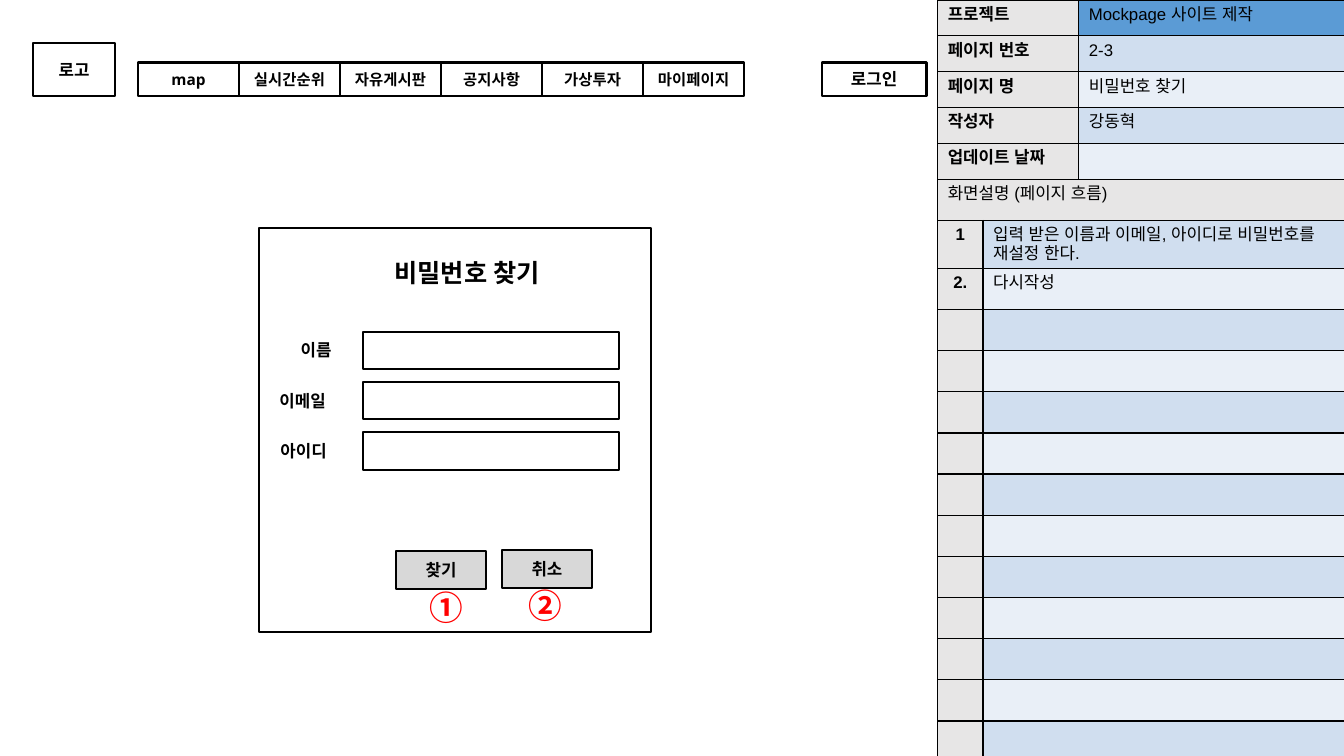
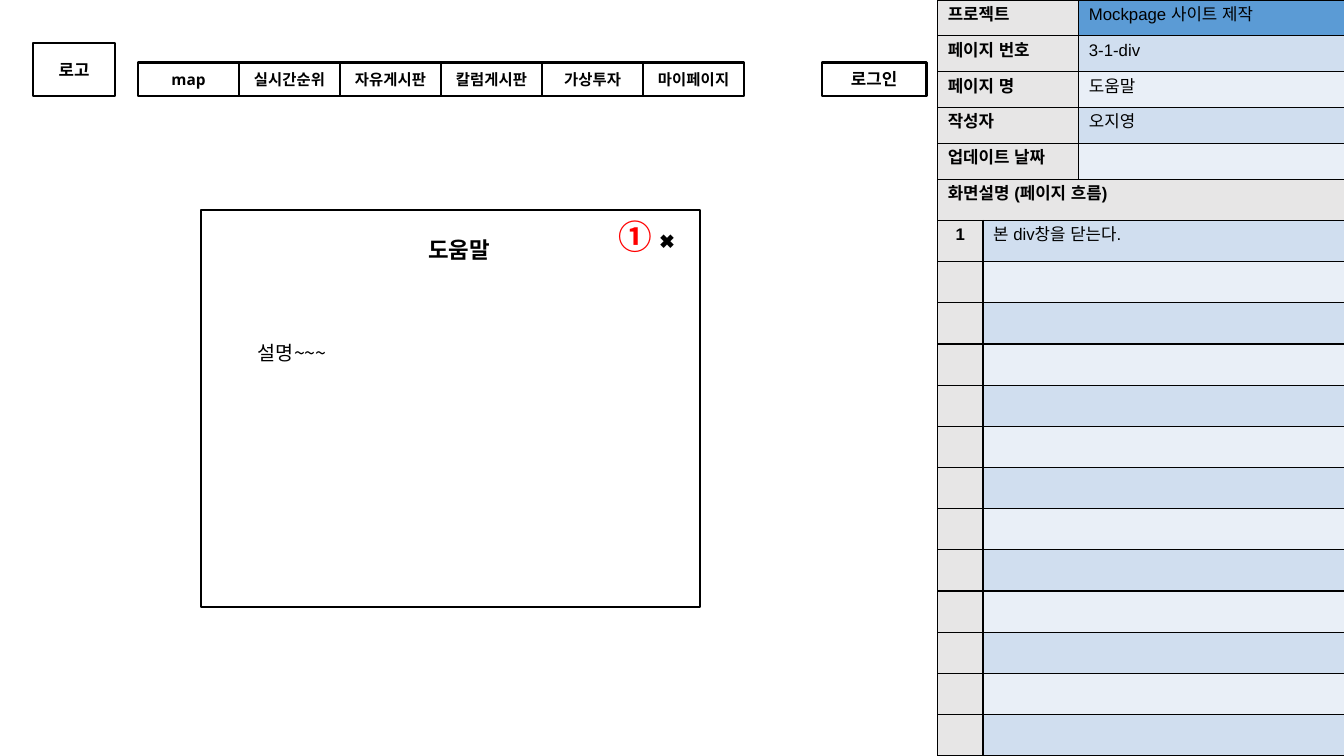
import dataclasses
import typing

import lxml.etree
import pptx
import pptx.dml.color
import pptx.enum.shapes
import pptx.enum.text
import pptx.oxml.ns
import pptx.util

Inches = pptx.util.Inches
Pt = pptx.util.Pt
RGBColor = pptx.dml.color.RGBColor
ALIGN = pptx.enum.text.PP_ALIGN
ANCHOR = pptx.enum.text.MSO_ANCHOR
qn = pptx.oxml.ns.qn

BLACK = RGBColor(0x00, 0x00, 0x00)
WHITE = RGBColor(0xFF, 0xFF, 0xFF)
RED = RGBColor(0xFF, 0x00, 0x00)
GRAY = RGBColor(0xD8, 0xD8, 0xD8)
LABEL = RGBColor(0xE7, 0xE6, 0xE6)
BLUE = RGBColor(0x5B, 0x9B, 0xD5)
BANDS = (RGBColor(0xD0, 0xDE, 0xEF), RGBColor(0xE9, 0xEF, 0xF7))

SANS, CJK, ARIAL = "Open Sans", "Noto Sans CJK KR", "Arial"
SIDE = 9.3
HEAD = 1.78
ROWS = 13


@dataclasses.dataclass
class Style:
    """Font and placing of a piece of text."""
    size: float = 12
    font: str = SANS
    bold: bool = True
    color: RGBColor = BLACK
    align: ALIGN = ALIGN.CENTER
    anchor: ANCHOR = ANCHOR.MIDDLE
    pad: float = 0.1


@dataclasses.dataclass
class Box:
    """A framed box, or plain text when it has no frame."""
    at: tuple[float, float, float, float]
    text: str = ""
    style: Style = dataclasses.field(default_factory=Style)
    frame: bool = True
    fill: typing.Optional[RGBColor] = None


@dataclasses.dataclass
class Page:
    """What one slide of the site plan holds."""
    code: str
    name: str
    writer: str
    fourth: str
    notes: list[tuple[str, str]]
    boxes: list[Box]
    strong: bool = True


LEFT = Style(align=ALIGN.LEFT)
MENU = Style(size=11)
MARK = Style(24, CJK, True, RED, ALIGN.LEFT, ANCHOR.TOP, 0.05)
KEY = Style(font=ARIAL, align=ALIGN.LEFT, anchor=ANCHOR.TOP, pad=0.05)
VALUE = dataclasses.replace(KEY, bold=False)
COUNT = dataclasses.replace(KEY, align=ALIGN.CENTER)


def apply(item: typing.Any, values: dict[str, typing.Any]) -> None:
    """Set each named value on the item."""
    for name, value in values.items():
        setattr(item, name, value)


def write(frame: typing.Any, text: str, style: Style) -> None:
    """Put styled text in a frame."""
    line = frame.paragraphs[0]
    line.alignment = style.align
    if not text:
        lxml.etree.SubElement(line._p, qn("a:endParaRPr"), sz=str(int(style.size * 100)))
        return
    run = line.add_run()
    run.text = text
    apply(run.font, {"size": Pt(style.size), "name": style.font, "bold": style.bold})
    run.font.color.rgb = style.color
    lxml.etree.SubElement(run.font._element, qn("a:ea"), typeface=style.font)


def draw(slide: typing.Any, box: Box) -> None:
    """Draw a box or a plain text."""
    place = [Inches(n) for n in box.at]
    if box.frame:
        shape = slide.shapes.add_shape(pptx.enum.shapes.MSO_SHAPE.RECTANGLE, *place)
        shape.shadow.inherit = False
        shape.line.color.rgb = BLACK
        shape.line.width = Pt(1.5)
        if box.fill is None:
            shape.fill.background()
        else:
            shape.fill.solid()
            shape.fill.fore_color.rgb = box.fill
    else:
        shape = slide.shapes.add_textbox(*place)
    style = box.style
    apply(shape.text_frame, {
        "word_wrap": True, "vertical_anchor": style.anchor,
        "margin_left": Inches(0.1), "margin_right": Inches(0.1),
        "margin_top": Inches(style.pad), "margin_bottom": Inches(style.pad)})
    write(shape.text_frame, box.text, style)


def paint(cell: typing.Any, text: str, style: Style, fill: RGBColor) -> None:
    """Fill, edge and write one table cell."""
    cell.fill.solid()
    cell.fill.fore_color.rgb = fill
    props = cell._tc.get_or_add_tcPr()
    for i, side in enumerate(("a:lnL", "a:lnR", "a:lnT", "a:lnB")):
        edge = lxml.etree.Element(qn(side), w=str(Pt(1)))
        solid = lxml.etree.SubElement(edge, qn("a:solidFill"))
        lxml.etree.SubElement(solid, qn("a:srgbClr"), val=str(BLACK))
        props.insert(i, edge)
    apply(cell, {"margin_left": Inches(0.1), "margin_right": Inches(0.1),
                 "margin_top": Inches(style.pad), "margin_bottom": Inches(style.pad),
                 "vertical_anchor": style.anchor})
    write(cell.text_frame, text, style)


def grid(slide: typing.Any, top: float, high: float, count: int,
         wides: tuple[float, float]) -> typing.Any:
    """Add a plain table with two columns and even rows."""
    table = slide.shapes.add_table(count, 2, Inches(SIDE), Inches(top),
                                   Inches(sum(wides)), Inches(high)).table
    apply(table, {"first_row": False, "horz_banding": False})
    for col, wide in zip(table.columns, wides):
        col.width = Inches(wide)
    for row in table.rows:
        row.height = Inches(high / count)
    return table


def panel(slide: typing.Any, page: Page) -> None:
    """Draw the two tables at the right side."""
    facts = [("프로젝트", "Mockpage 사이트 제작"), ("페이지 번호", page.code),
             ("페이지 명", page.name), ("작성자", page.writer), ("업데이트 날짜", "")]
    table = grid(slide, 0, HEAD, len(facts), (1.4, 2.64))
    for i, (key, value) in enumerate(facts):
        paint(table.cell(i, 0), key, KEY, LABEL)
        paint(table.cell(i, 1), value, VALUE, BANDS[(i - 1) % 2] if i else BLUE)

    table = grid(slide, HEAD, 5.72, ROWS + 1, (0.45, 3.59))
    table.cell(0, 0).merge(table.cell(0, 1))
    paint(table.cell(0, 0), "화면설명 (페이지 흐름)", KEY if page.strong else VALUE, LABEL)
    paint(table.cell(0, 1), "", VALUE, LABEL)
    blanks = [("", "")] * (ROWS - len(page.notes))
    for i, (mark, note) in enumerate(page.notes + blanks):
        paint(table.cell(i + 1, 0), mark, COUNT, LABEL)
        paint(table.cell(i + 1, 1), note, VALUE, BANDS[i % 2])


def header(slide: typing.Any, fourth: str) -> None:
    """Draw the site header with its menu."""
    draw(slide, Box((0.33, 0.43, 0.81, 0.52), "로고"))
    draw(slide, Box((8.15, 0.62, 1.04, 0.33), "로그인"))
    names = ("map", "실시간순위", "자유게시판", fourth, "가상투자", "마이페이지")
    for i, name in enumerate(names):
        draw(slide, Box((1.37 + i * 5.01 / 5, 0.62, 1, 0.33), name, MENU))


def fields() -> list[Box]:
    """Give the labels and entry boxes of the form."""
    rows = ((2.72, 0.83, "이름", Style()), (2.63, 0.89, " 이메일", LEFT),
            (2.64, 0.89, " 아이디", LEFT))
    boxes = []
    for i, (left, wide, name, style) in enumerate(rows):
        top = 3.29 + i * 0.5
        boxes.append(Box((3.6, top, 2.54, 0.37)))
        boxes.append(Box((left, top, wide, 0.37), name, style, False))
    return boxes


RESET = [
    Box((2.57, 2.26, 3.89, 4.01)),
    Box((3.73, 2.52, 1.81, 0.37), "비밀번호 찾기", Style(size=18), False),
    *fields(),
    Box((3.93, 5.47, 0.89, 0.37), "찾기", fill=GRAY),
    Box((4.98, 5.46, 0.89, 0.37), "취소", fill=GRAY),
    Box((4.16, 5.77, 0.6, 0.5), "①", MARK, False),
    Box((5.14, 5.75, 0.6, 0.5), "②", MARK, False),
]

TITLE = Style(16, CJK, anchor=ANCHOR.TOP)
PLAIN = Style(14, CJK, False, align=ALIGN.LEFT, anchor=ANCHOR.TOP)
HELP = [
    Box((1.99, 2.08, 4.95, 3.94), fill=WHITE),
    Box((3.64, 2.24, 1.83, 0.6), "도움말", TITLE, False),
    Box((6.44, 2.17, 0.49, 0.43), "✖", PLAIN, False),
    Box((6.04, 2.09, 0.6, 0.5), "①", MARK, False),
    Box((2.46, 3.28, 4.12, 2.37), "설명~~~", PLAIN, False),
]

PAGES = [
    Page("2-3", "비밀번호 찾기", "강동혁", "공지사항",
         [("1", "입력 받은 이름과 이메일, 아이디로 비밀번호를 재설정 한다."),
          ("2.", "다시작성")], RESET, strong=False),
    Page("3-1-div", "도움말", "오지영", "칼럼게시판",
         [("1", "본 div창을 닫는다.")], HELP),
]


def main() -> None:
    """Build and save the deck."""
    deck = pptx.Presentation()
    apply(deck, {"slide_width": Inches(13.33), "slide_height": Inches(7.5)})
    for page in PAGES:
        slide = deck.slides.add_slide(deck.slide_layouts[6])
        panel(slide, page)
        header(slide, page.fourth)
        for box in page.boxes:
            draw(slide, box)
    deck.save("out.pptx")


main()
